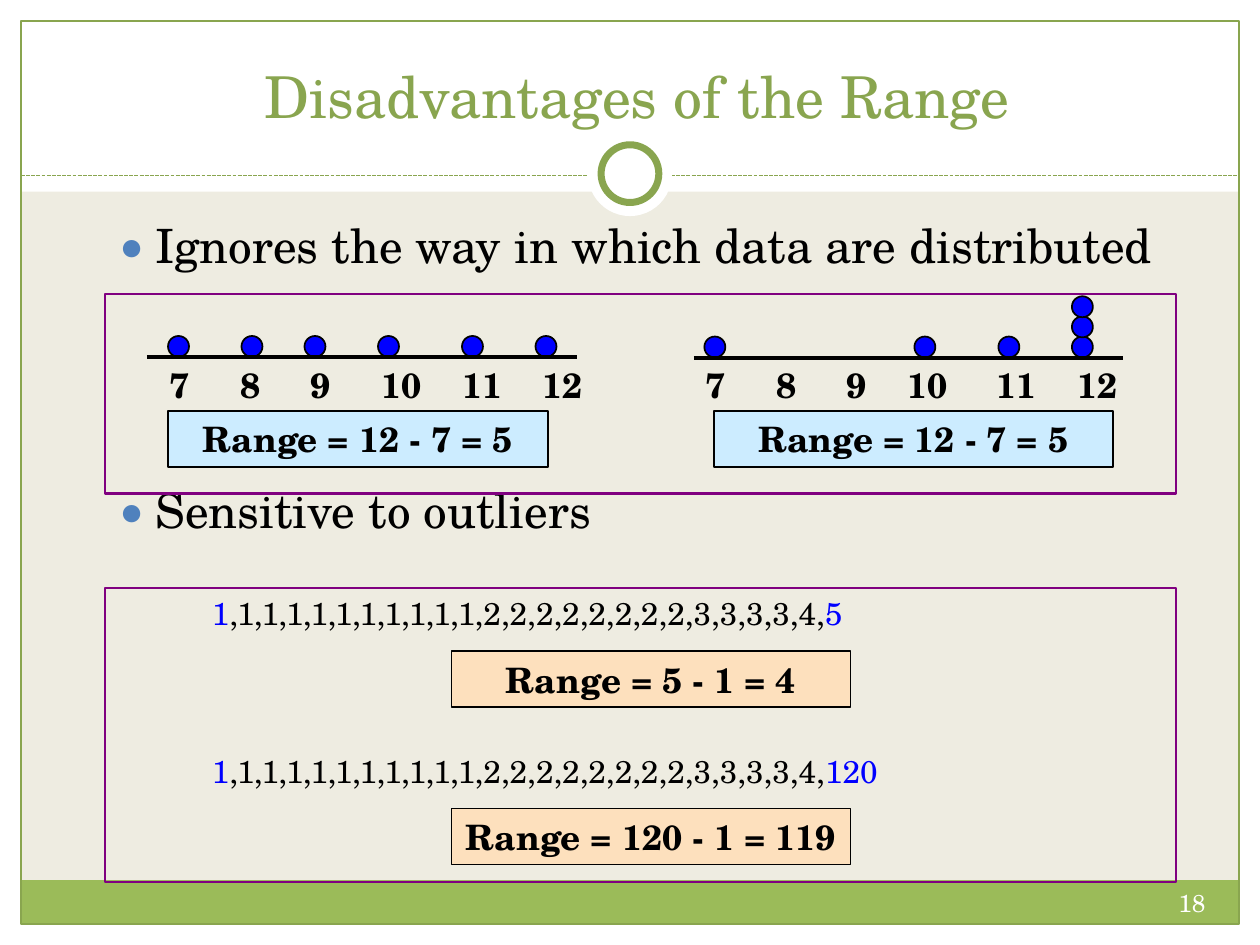
import lxml.etree
import pptx
import pptx.dml.color
import pptx.enum.dml
import pptx.enum.shapes
import pptx.enum.text
import pptx.oxml.ns
import pptx.util

Pt = pptx.util.Pt
SHAPES = pptx.enum.shapes.MSO_SHAPE
ALIGN = pptx.enum.text.PP_ALIGN
ANCHOR = pptx.enum.text.MSO_ANCHOR
FONT = "TeX Gyre Schola"
COLORS = {
    "cream": "EEECE1", "white": "FFFFFF", "leaf": "9BBB59", "olive": "89A54F",
    "black": "000000", "blue": "0000FF", "bullet": "4F81BD", "sky": "CCECFF",
    "peach": "FDE0BD", "purple": "800080",
}


def color(name):
    """Return the palette colour as an RGB value."""
    return pptx.dml.color.RGBColor.from_string(COLORS[name])


def add_xml(parent, tag, **attributes):
    """Append a drawing element with attributes."""
    return lxml.etree.SubElement(parent, pptx.oxml.ns.qn(tag), **attributes)


class Painter:
    """Hold the style and the current slide."""

    def __init__(self, page):
        self.page = page
        page.background.fill.solid()
        page.background.fill.fore_color.rgb = color("cream")

    def shape(self, kind, left, top, width, height, fill=None, line=None, weight=1):
        """Add a preset shape."""
        shape = self.page.shapes.add_shape(kind, Pt(left), Pt(top), Pt(width), Pt(height))
        shape.shadow.inherit = False
        if fill:
            shape.fill.solid()
            shape.fill.fore_color.rgb = color(fill)
        else:
            shape.fill.background()
        if line:
            shape.line.color.rgb = color(line)
            shape.line.width = Pt(weight)
        else:
            shape.line.fill.background()
        return shape

    def box(self, left, top, width, height, anchor=ANCHOR.TOP):
        """Add a wrapping text box and return its frame."""
        frame = self.page.shapes.add_textbox(Pt(left), Pt(top), Pt(width), Pt(height)).text_frame
        frame.word_wrap = True
        frame.vertical_anchor = anchor
        return frame

    def text(self, para, spans, size, align=ALIGN.LEFT, bold=False):
        """Fill a paragraph with (text, colour) spans."""
        para.alignment = align
        for words, name in spans:
            span = para.add_run()
            span.text = words
            span.font.name = FONT
            span.font.size = Pt(size)
            span.font.bold = bold
            span.font.color.rgb = color(name)

    def bullet(self, para, words, before):
        """Fill a bulleted paragraph."""
        self.text(para, [(words, "black")], 27)
        para.space_before = Pt(before)
        props = para._p.get_or_add_pPr()
        props.set("marL", str(Pt(21.6)))
        props.set("indent", str(Pt(-21.6)))
        add_xml(add_xml(props, "a:buClr"), "a:srgbClr", val=COLORS["bullet"])
        add_xml(props, "a:buSzPct", val="85000")
        add_xml(props, "a:buFont", typeface=FONT)
        add_xml(props, "a:buChar", char="●")

    def line(self, left, right, height, name, weight, dash=None):
        """Add a horizontal line."""
        line = self.page.shapes.add_connector(
            pptx.enum.shapes.MSO_CONNECTOR.STRAIGHT, Pt(left), Pt(height), Pt(right), Pt(height))
        line.line.color.rgb = color(name)
        line.line.width = Pt(weight)
        line.line.dash_style = dash
        add_xml(line._element.spPr, "a:effectLst")

    def result(self, left, top, width, words, fill):
        """Add a filled box with a range calculation."""
        frame = self.shape(SHAPES.RECTANGLE, left, top, width, 32, fill, "black").text_frame
        frame.word_wrap = True
        frame.vertical_anchor = ANCHOR.MIDDLE
        self.text(frame.paragraphs[0], [(words, "black")], 20, ALIGN.CENTER, True)

    def dot_plot(self, left, axis, dots, label_left, tabs):
        """Add a number line with dots and labels."""
        for x, y in dots:
            self.shape(SHAPES.OVAL, x, y, 12, 12, "blue", "black")
        self.line(left, left + 245.5, axis, "black", 2.25)
        para = self.box(label_left, 204, 262, 31).paragraphs[0]
        labels = "\t".join(str(value) for value in range(7, 13))
        self.text(para, [(labels, "black")], 20, bold=True)
        stops = add_xml(para._p.get_or_add_pPr(), "a:tabLst")
        for tab in tabs:
            add_xml(stops, "a:tab", pos=str(Pt(tab)), algn="l")

    def sequence(self, top, last):
        """Add a data list with its extremes highlighted."""
        values = ["1"] * 10 + ["2"] * 8 + ["3"] * 4 + ["4"]
        para = self.box(42, top, 648, 36).paragraphs[0]
        spans = [("1", "blue"), ("," + ",".join(values) + ",", "black"), (last, "blue")]
        self.text(para, spans, 18)
        para._p.get_or_add_pPr().set("marL", str(Pt(72)))


def main():
    """Build and save the slide."""
    deck = pptx.Presentation()
    deck.slide_width, deck.slide_height = Pt(720), Pt(540)
    painter = Painter(deck.slides.add_slide(deck.slide_layouts[6]))

    for area in [(0, 528, 720, 12), (0, 0, 720, 109.5), (0, 0, 12, 540), (708, 0, 12, 540)]:
        painter.shape(SHAPES.RECTANGLE, *area, fill="white")
    painter.shape(SHAPES.RECTANGLE, 12, 503, 696, 25, "leaf")
    painter.shape(SHAPES.RECTANGLE, 12, 12, 696, 516, line="olive", weight=0.75)
    painter.line(12, 708, 100.5, "olive", 0.75, pptx.enum.dml.MSO_LINE.SQUARE_DOT)
    painter.shape(SHAPES.OVAL, 336, 75.5, 48, 48, "white")
    painter.shape(SHAPES.OVAL, 343.5, 82.75, 33, 33, "white", "olive", 4)

    number = painter.box(456, 504, 240, 29)
    painter.text(number.paragraphs[0], [("18", "white")], 14, ALIGN.RIGHT)
    title = painter.box(28, 18, 672, 60, ANCHOR.BOTTOM)
    painter.text(title.paragraphs[0], [("Disadvantages of the Range", "olive")], 33, ALIGN.CENTER)
    body = painter.box(60, 120, 636, 324)
    painter.bullet(body.paragraphs[0], "Ignores the way in which data are distributed", 5.4)
    painter.bullet(body.add_paragraph(), "Sensitive to outliers", 119)

    spread = [(x, 192) for x in (96, 138, 174, 216, 264, 306)]
    stacked = [(x, 192.3) for x in (402.5, 522.5, 570.5)]
    stacked += [(612.5, 192.3 - 11.5 * level) for level in range(3)]
    painter.dot_plot(84, 204, spread, 90, (40.5, 80.5, 121, 167, 213))
    painter.dot_plot(396.5, 204.5, stacked, 396, (40.5, 80.5, 115.5, 166.5, 212.5))
    painter.result(96, 234.7, 217, "Range = 12 - 7 = 5", "sky")
    painter.result(408, 234.7, 228, "Range = 12 - 7 = 5", "sky")

    for top, last, words in [(336, "5", "Range = 5 - 1 = 4"), (426, "120", "Range = 120 - 1 = 119")]:
        painter.sequence(top, last)
        painter.result(258, top + 36, 228, words, "peach")
    for top, height in [(168, 114), (336, 168)]:
        painter.shape(SHAPES.RECTANGLE, 60, top, 612, height, line="purple", weight=1.5)
    deck.save("out.pptx")


if __name__ == "__main__":
    main()
